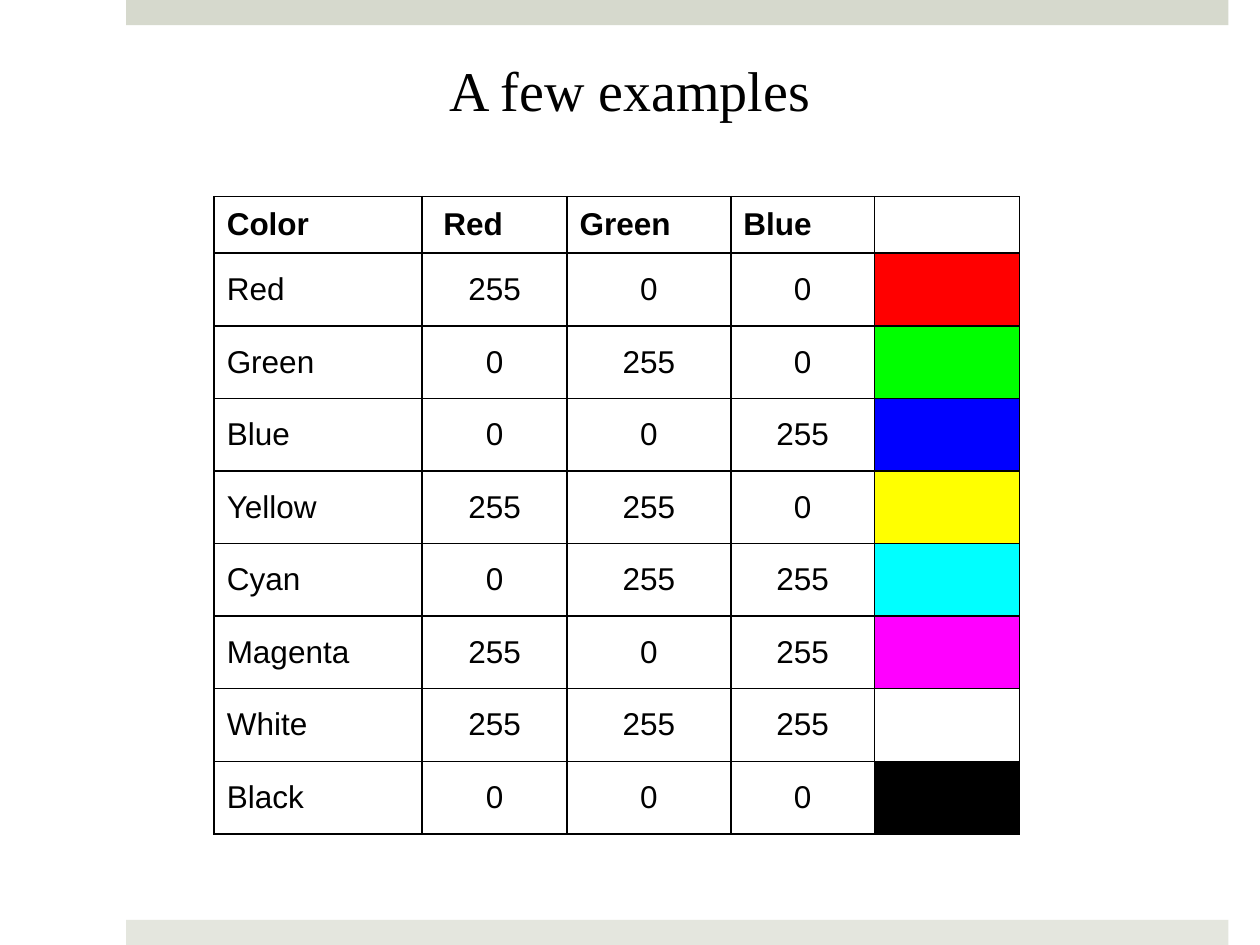
from lxml import etree
from pptx import Presentation
from pptx import util as u
from pptx.dml.color import RGBColor
from pptx.enum import shapes, text
from pptx.oxml import ns

BLACK = RGBColor(0x00, 0x00, 0x00)
TOP_BAND = RGBColor(0xD6, 0xD9, 0xCD)
BOTTOM_BAND = RGBColor(0xE4, 0xE6, 0xDE)

HEADINGS = ["Color", " Red ", "Green", "Blue ", ""]
COLORS = [
    ("Red", 255, 0, 0),
    ("Green", 0, 255, 0),
    ("Blue", 0, 0, 255),
    ("Yellow", 255, 255, 0),
    ("Cyan", 0, 255, 255),
    ("Magenta", 255, 0, 255),
    ("White", 255, 255, 255),
    ("Black", 0, 0, 0),
]
COLUMN_WIDTHS = [1.65, 1.15, 1.3, 1.14, 1.15]
TABLE_HEIGHT, HEADER_HEIGHT = 5.06, 0.45


def write(frame, words, font="Arial", size=18, bold=False, align=text.PP_ALIGN.LEFT):
    para = frame.paragraphs[0]
    para.alignment = align
    span = para.add_run()
    span.text = words
    span.font.name = font
    span.font.size = u.Pt(size)
    span.font.bold = bold
    span.font.color.rgb = BLACK


def add_borders(cell):
    properties = cell._tc.get_or_add_tcPr()
    for side in ("lnL", "lnR", "lnT", "lnB"):
        line = etree.SubElement(properties, ns.qn(f"a:{side}"), w=str(u.Pt(1)))
        fill = etree.SubElement(line, ns.qn("a:solidFill"))
        etree.SubElement(fill, ns.qn("a:srgbClr"), val=str(BLACK))


deck = Presentation()
deck.slide_width, deck.slide_height = u.Inches(10), u.Inches(7.5)
page = deck.slides.add_slide(deck.slide_layouts[6])

# Bands along the top and bottom edges
for top, color in ((0, TOP_BAND), (7.3, BOTTOM_BAND)):
    band = page.shapes.add_shape(
        shapes.MSO_SHAPE.RECTANGLE, u.Inches(1), u.Inches(top), u.Inches(8.75), u.Inches(0.2)
    )
    band.shadow.inherit = False
    band.fill.solid()
    band.fill.fore_color.rgb = color
    band.line.fill.background()

# Color table
rows = [HEADINGS] + [[name, *map(str, rgb), ""] for name, *rgb in COLORS]
table = page.shapes.add_table(
    len(rows), len(HEADINGS), u.Inches(1.7), u.Inches(1.56),
    u.Inches(sum(COLUMN_WIDTHS)), u.Inches(TABLE_HEIGHT),
).table
for column, width in zip(table.columns, COLUMN_WIDTHS):
    column.width = u.Inches(width)
for row in table.rows:
    row.height = u.Inches((TABLE_HEIGHT - HEADER_HEIGHT) / len(COLORS))
table.rows[0].height = u.Inches(HEADER_HEIGHT)

for r, row in enumerate(rows):
    for c, words in enumerate(row):
        cell = table.cell(r, c)
        cell.vertical_anchor = text.MSO_ANCHOR.MIDDLE
        add_borders(cell)
        cell.fill.background()
        if words:
            centered = r > 0 and c > 0
            write(cell.text_frame, words, bold=r == 0,
                  align=text.PP_ALIGN.CENTER if centered else text.PP_ALIGN.LEFT)

# Swatches, mixed from the values in each row; white stays unfilled
for r, (name, *rgb) in enumerate(COLORS, start=1):
    if name != "White":
        swatch = table.cell(r, len(HEADINGS) - 1)
        swatch.fill.solid()
        swatch.fill.fore_color.rgb = RGBColor(*rgb)

# Title
box = page.shapes.add_textbox(u.Inches(0), u.Inches(0.39), u.Inches(10), u.Inches(0.63))
box.text_frame.word_wrap = True
box.text_frame.auto_size = text.MSO_AUTO_SIZE.SHAPE_TO_FIT_TEXT
write(box.text_frame, "A few examples", font="Times New Roman", size=32,
      align=text.PP_ALIGN.CENTER)

deck.save("out.pptx")
